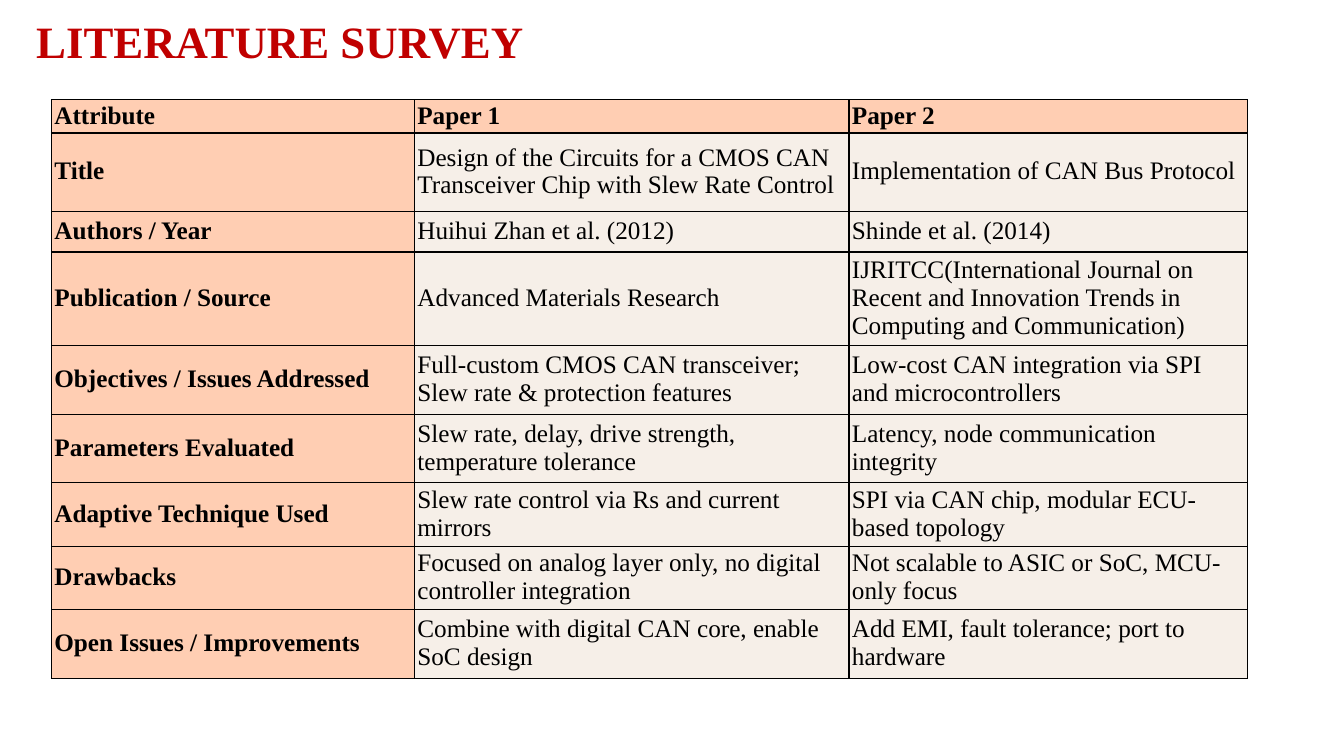
"""Build the literature survey slide: a heading above a table comparing two papers."""
import pptx
import pptx.dml.color
import pptx.enum.text
import pptx.oxml
import pptx.oxml.ns
import pptx.util
from pptx.util import Inches

MIDDLE = pptx.enum.text.MSO_ANCHOR.MIDDLE
PEACH = "FFCEB3"
CREAM = "F6EFE8"


def color(value):
    return pptx.dml.color.RGBColor.from_string(value)


def write(frame, text, size=18, bold=False, ink="000000"):
    para = frame.paragraphs[0]
    span = para.add_run()
    span.text = text
    span.font.name = "Times New Roman"
    span.font.size = pptx.util.Pt(size)
    span.font.bold = bold
    span.font.color.rgb = color(ink)


deck = pptx.Presentation()
deck.slide_width = Inches(13.33)
deck.slide_height = Inches(7.5)
page = deck.slides.add_slide(deck.slide_layouts[6])

heading = page.shapes.add_textbox(Inches(0.36), Inches(0.11), Inches(4.87), Inches(0.56))
frame = heading.text_frame
frame.word_wrap = False
frame.vertical_anchor = MIDDLE
frame.margin_left = frame.margin_right = frame.margin_bottom = 0
frame.margin_top = Inches(0.02)
write(frame, "LITERATURE SURVEY", size=32, bold=True, ink="C00000")

survey = [
    ("Attribute", "Paper 1", "Paper 2"),
    ("Title", "Design of the Circuits for a CMOS CAN Transceiver Chip with Slew Rate Control",
     "Implementation of CAN Bus Protocol"),
    ("Authors / Year", "Huihui Zhan et al. (2012)", "Shinde et al. (2014)"),
    ("Publication / Source", "Advanced Materials Research",
     "IJRITCC(International Journal on Recent and Innovation Trends in "
     "Computing and Communication)"),
    ("Objectives / Issues Addressed",
     "Full-custom CMOS CAN transceiver; Slew rate & protection features",
     "Low-cost CAN integration via SPI and microcontrollers"),
    ("Parameters Evaluated", "Slew rate, delay, drive strength, temperature tolerance",
     "Latency, node communication integrity"),
    ("Adaptive Technique Used", "Slew rate control via Rs and current mirrors",
     "SPI via CAN chip, modular ECU-based topology"),
    ("Drawbacks", "Focused on analog layer only, no digital controller integration",
     "Not scalable to ASIC or SoC, MCU-only focus"),
    ("Open Issues / Improvements", "Combine with digital CAN core, enable SoC design",
     "Add EMI, fault tolerance; port to hardware"),
]
widths = [3.6, 4.31, 3.95]
heights = [0.33, 0.78, 0.4, 0.93, 0.68, 0.68, 0.63, 0.63, 0.68]

table = page.shapes.add_table(
    len(heights), len(widths), Inches(0.51), Inches(0.99),
    Inches(sum(widths)), Inches(sum(heights))).table
for column, width in zip(table.columns, widths):
    column.width = Inches(width)

for row_index, (entries, height) in enumerate(zip(survey, heights)):
    table.rows[row_index].height = Inches(height)
    for column_index, entry in enumerate(entries):
        is_label = row_index == 0 or column_index == 0
        cell = table.cell(row_index, column_index)
        cell.margin_left = Inches(0.03)
        cell.margin_right = Inches(0.05)
        cell.margin_top = 0
        cell.margin_bottom = Inches(0.02)
        cell.vertical_anchor = MIDDLE
        properties = cell._tc.get_or_add_tcPr()
        for side in ("lnL", "lnR", "lnT", "lnB"):
            properties.append(pptx.oxml.parse_xml(
                f'<a:{side} {pptx.oxml.ns.nsdecls("a")} w="12700"><a:solidFill>'
                f'<a:srgbClr val="000000"/></a:solidFill></a:{side}>'))
        cell.fill.solid()
        cell.fill.fore_color.rgb = color(PEACH if is_label else CREAM)
        write(cell.text_frame, entry, bold=is_label)

deck.save("out.pptx")
